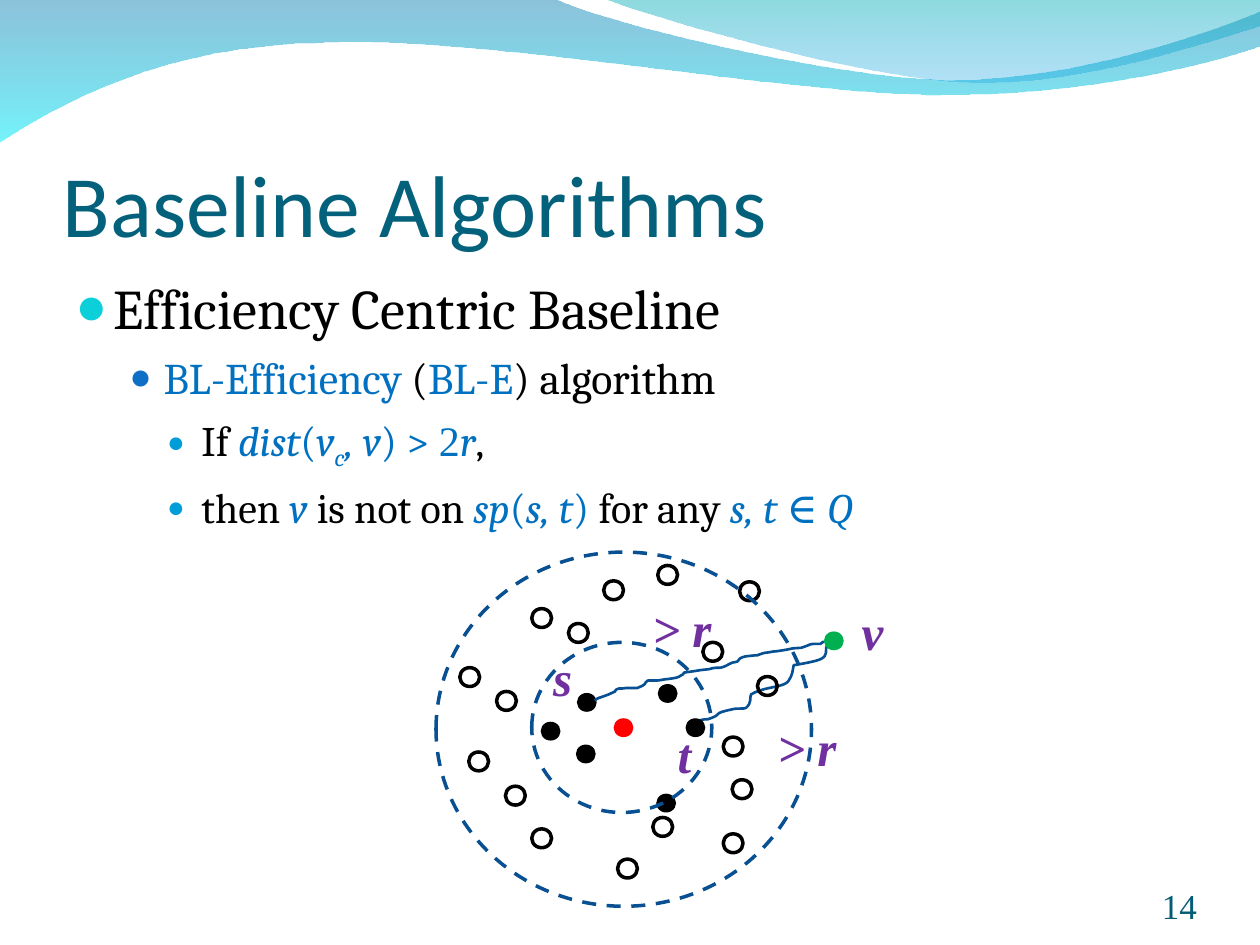
from dataclasses import dataclass
from typing import NamedTuple, Optional

from lxml.etree import SubElement
from pptx import Presentation
from pptx.dml.color import RGBColor
from pptx.enum.dml import MSO_LINE
from pptx.enum.shapes import MSO_SHAPE
from pptx.enum.text import MSO_ANCHOR, PP_ALIGN
from pptx.oxml.ns import qn
from pptx.util import Cm, Pt


@dataclass(frozen=True)
class Theme:
    title: str = "04617B"
    number: str = "045C75"
    text: str = "000000"
    accent: str = "0070C0"
    label: str = "7030A0"
    ring: str = "085091"
    path_line: str = "065093"
    center: str = "FF0000"
    far: str = "00B050"
    head_font: str = "Calibri"
    body_font: str = "Cambria"
    math_font: str = "Times New Roman"
    title_size: float = 50
    label_size: float = 28
    number_size: float = 20


THEME = Theme()


class Box(NamedTuple):
    x: float
    y: float
    w: float
    h: float


class Stop(NamedTuple):
    color: str
    opacity: int


class Outline(NamedTuple):
    start: tuple
    segments: list


class Span(NamedTuple):
    text: str
    color: str = THEME.text
    italic: bool = False
    sub: bool = False
    font: str = THEME.body_font


class Level(NamedTuple):
    size: float
    margin: float
    hanging: float
    before: float
    bullet: str
    bullet_pct: int


class Label(NamedTuple):
    text: str
    box: Box


LEVELS = [
    Level(32, 0.76, 0.76, 8, "0BD0D9", 95),
    Level(25, 1.78, 0.69, 6.2, "0F6FC6", 85),
    Level(24, 2.54, 0.69, 6, "009DD9", 70),
]


def math(text: str, italic: bool = True, **style) -> Span:
    return Span(text, THEME.accent, italic, **style)


BODY = [
    (0, [Span("Efficiency Centric Baseline")]),
    (1, [math("BL-Efficiency", False), Span(" ("), math("BL-E", False), Span(") algorithm")]),
    (2, [Span("If "), math("dist"), math("(", False), math("v"), math("c", sub=True),
         math(", v"), math(") > ", False), math("2", False, font=THEME.math_font),
         math("r"), Span(",")]),
    (2, [Span("then "), math("v"), Span(" is not on "), math("sp"), math("(", False),
         math("s, t"), math(") ", False), Span("for any "), math("s, t"),
         math(" ∈ ", False), math("Q")]),
]

WAVES = [
    (Outline((0, -0.03), [
        [(11.18, -0.03)], [(12.09, 0.43), (16.87, 1.6), (19.25, 1.6)],
        [(21.67, 1.6), (24.33, 0.66), (25.4, 0.23)], [(25.43, 0.91)],
        [(24.97, 1.12), (22.1, 1.93), (18.95, 1.91)],
        [(15.8, 1.91), (9.7, 0.71), (6.53, 0.86)],
        [(3.28, 0.89), (1.17, 2.11), (-0.03, 2.87)],
    ]), (Stop("0079AF", 45), Stop("00EBF8", 55))),
    (Outline((12.17, -0.03), [
        [(12.93, 0.28), (17.32, 1.57), (19.53, 1.65)],
        [(21.74, 1.75), (24.41, 0.81), (25.4, 0.53)], [(25.4, 0)],
    ]), (Stop("00ADB6", 45), Stop("009BE5", 30))),
]

PATH_T = Outline((16.66, 13.03), [
    [(16.64, 13.11), (16.69, 13.21), (16.56, 13.28)], [(16.46, 13.34), (16, 13.41), (16, 13.41)],
    [(15.98, 13.51), (15.98, 13.61), (15.9, 13.72)], [(15.85, 13.82), (15.62, 13.84), (15.42, 13.89)],
    [(15.32, 13.92), (15.24, 13.94), (15.14, 14)], [(15.11, 14.07), (15.16, 14.17), (15.04, 14.27)],
    [(15.01, 14.3), (14.83, 14.27), (14.76, 14.3)], [(14.3, 14.4), (14.63, 14.38), (14.27, 14.5)],
    [(14.25, 14.5), (14.15, 14.5), (14.1, 14.53)],
])
PATH_S = Outline((11.99, 14.12), [
    [(12.09, 14.05), (12.01, 14.1), (12.27, 14)], [(12.4, 13.94)],
    [(12.42, 13.92), (12.4, 13.89), (12.45, 13.89)], [(12.47, 13.87), (12.55, 13.89), (12.62, 13.87)],
    [(12.7, 13.87), (12.78, 13.87), (12.85, 13.87)], [(12.95, 13.82), (12.95, 13.84), (13, 13.79)],
    [(13.03, 13.77), (13, 13.74), (13.06, 13.72)], [(13.11, 13.72), (13.18, 13.72), (13.23, 13.72)],
    [(13.31, 13.72), (13.39, 13.69), (13.46, 13.69)], [(13.59, 13.67), (13.67, 13.67), (13.74, 13.61)],
    [(13.77, 13.61), (13.77, 13.59), (13.79, 13.56)], [(13.92, 13.54), (13.94, 13.54), (14.12, 13.51)],
    [(14.2, 13.51), (14.22, 13.49), (14.3, 13.49)], [(14.38, 13.46), (14.45, 13.46), (14.53, 13.46)],
    [(14.63, 13.44), (14.68, 13.39), (14.76, 13.36)], [(14.78, 13.36), (14.83, 13.34), (14.86, 13.34)],
    [(14.91, 13.28), (14.91, 13.26), (15.04, 13.23)], [(15.09, 13.23), (15.19, 13.21), (15.27, 13.21)],
    [(15.32, 13.18), (15.37, 13.18), (15.42, 13.16)], [(15.49, 13.16), (15.57, 13.13), (15.65, 13.13)],
    [(16.13, 13.06), (15.82, 13.08), (16.15, 13.06)], [(16.41, 12.98), (16.26, 12.98), (16.54, 12.98)],
    [(16.61, 12.93)],
])
QUERY_DOTS = [(11.63, 13.97), (13.26, 13.79), (11.61, 15.01), (13.23, 16), (10.9, 14.55), (13.82, 14.48)]
OTHER_DOTS = [(10.01, 13.94), (10.19, 15.85), (14.91, 11.73), (9.45, 15.16), (14.17, 12.95),
              (10.72, 16.71), (10.72, 12.27), (9.27, 13.46), (11.46, 12.57), (12.17, 11.71),
              (13.26, 11.4), (12.45, 17.32), (13.16, 16.48), (14.58, 16.81), (15.27, 13.64),
              (14.58, 14.86), (14.76, 15.72)]
INNER_RING = Box(10.72, 12.95, 3.63, 3.43)
OUTER_RING = Box(8.79, 11.13, 7.57, 7.14)
BACK_LABELS = [Label("> r", Box(12.9, 11.94, 1.7, 1.45)), Label("s", Box(10.9, 12.93, 0.89, 1.45))]
FRONT_LABELS = [Label("t", Box(13.41, 14.48, 0.79, 1.45)), Label("> r", Box(15.42, 14.33, 1.7, 1.45)),
                Label("v", Box(17.12, 12.01, 0.94, 1.45))]


def lengths(values: tuple) -> list:
    return [Cm(v) for v in values]


def add_outline(s, outline: Outline, close: bool):
    builder = s.shapes.build_freeform(*lengths(outline.start))
    builder.add_line_segments([lengths(pt) for seg in outline.segments for pt in seg], close=close)
    sp = builder.convert_to_shape()
    sp.shadow.inherit = False
    lines = iter(list(sp.element.iter(qn("a:lnTo"))))
    for seg in outline.segments:
        first, *others = [next(lines) for _ in seg]
        if others:
            first.tag = qn("a:cubicBezTo")
            for line in others:
                first.append(line[0])
                line.getparent().remove(line)
    return sp


def add_wave(s, outline: Outline, stops: tuple) -> None:
    sp = add_outline(s, outline, True)
    sp.line.fill.background()
    sp.fill.gradient()
    sp.fill.gradient_angle = 270
    for stop, target in zip(stops, sp.fill.gradient_stops):
        target.color.rgb = RGBColor.from_string(stop.color)
    for stop, clr in zip(stops, sp.element.spPr.iter(qn("a:srgbClr"))):
        SubElement(clr, qn("a:alpha"), val=str(stop.opacity * 1000))


def add_path(s, outline: Outline) -> None:
    sp = add_outline(s, outline, False)
    sp.fill.background()
    sp.line.color.rgb = RGBColor.from_string(THEME.path_line)
    sp.line.width = Pt(1.5)


def add_ellipse(s, box: Box, fill: Optional[str] = None, line: Optional[str] = None) -> object:
    sp = s.shapes.add_shape(MSO_SHAPE.OVAL, *lengths(box))
    sp.shadow.inherit = False
    if fill:
        sp.fill.solid()
        sp.fill.fore_color.rgb = RGBColor.from_string(fill)
        sp.line.fill.background()
    else:
        sp.fill.background()
        sp.line.color.rgb = RGBColor.from_string(line)
        sp.line.width = Pt(2)
    return sp


def add_ring(s, box: Box) -> None:
    add_ellipse(s, box, line=THEME.ring).line.dash_style = MSO_LINE.DASH


def add_dots(s, places: list, fill: Optional[str] = None, line: Optional[str] = None) -> None:
    for at in places:
        add_ellipse(s, Box(*at, 0.4, 0.38), fill, line)


def style_font(font, name: str, size: float, color: str, bold=False, italic=False) -> None:
    font.name, font.size, font.bold, font.italic = name, Pt(size), bold, italic
    font.color.rgb = RGBColor.from_string(color)


def add_text(s, text: str, box: Box, name: str, size: float, color: str,
             emphasis: bool = False, align=PP_ALIGN.LEFT) -> None:
    tf = s.shapes.add_textbox(*lengths(box)).text_frame
    tf.text = text
    p = tf.paragraphs[0]
    p.alignment = align
    style_font(p.runs[0].font, name, size, color, emphasis, emphasis)
    tf.word_wrap = not emphasis
    if not emphasis:
        tf.margin_left = tf.margin_right = tf.margin_top = tf.margin_bottom = 0
        tf.vertical_anchor = MSO_ANCHOR.BOTTOM


def add_labels(s, labels: list) -> None:
    for text, box in labels:
        add_text(s, text, box, THEME.math_font, THEME.label_size, THEME.label, emphasis=True)


def add_body(s, box: Box) -> None:
    tf = s.shapes.add_textbox(*lengths(box)).text_frame
    tf.word_wrap = True
    for i, (depth, spans) in enumerate(BODY):
        p = tf.add_paragraph() if i else tf.paragraphs[0]
        level = LEVELS[depth]
        p.level = depth
        pPr = p._p.get_or_add_pPr()
        pPr.set("marL", str(Cm(level.margin)))
        pPr.set("indent", str(-Cm(level.hanging)))
        SubElement(SubElement(pPr, qn("a:buClr")), qn("a:srgbClr"), val=level.bullet)
        SubElement(pPr, qn("a:buSzPct"), val=str(level.bullet_pct * 1000))
        SubElement(pPr, qn("a:buFont"), typeface=THEME.math_font)
        SubElement(pPr, qn("a:buChar"), char="●")
        if i:
            p.space_before = Pt(level.before)
        for span in spans:
            r = p.add_run()
            r.text = span.text
            style_font(r.font, span.font, level.size, span.color, italic=span.italic)
            if span.sub:
                r.font._element.set("baseline", "-25000")


def main() -> None:
    prs = Presentation()
    prs.slide_width, prs.slide_height = Cm(25.4), Cm(19.05)
    s = prs.slides.add_slide(prs.slide_layouts[6])
    for outline, stops in WAVES:
        add_wave(s, outline, stops)
    add_text(s, "Baseline Algorithms", Box(1.27, 1.96, 22.86, 3.18),
             THEME.head_font, THEME.title_size, THEME.title)
    add_body(s, Box(1.27, 5.38, 21.92, 12.95))
    add_text(s, "14", Box(22.02, 17.65, 2.11, 1.02), THEME.math_font,
             THEME.number_size, THEME.number, align=PP_ALIGN.RIGHT)
    add_path(s, PATH_T)
    add_labels(s, BACK_LABELS)
    add_dots(s, QUERY_DOTS, fill=THEME.text)
    add_ring(s, INNER_RING)
    add_dots(s, OTHER_DOTS, line=THEME.text)
    add_path(s, PATH_S)
    add_ring(s, OUTER_RING)
    add_dots(s, [(12.37, 14.48)], fill=THEME.center)
    add_dots(s, [(16.61, 12.73)], fill=THEME.far)
    add_labels(s, FRONT_LABELS)
    prs.save("out.pptx")


if __name__ == "__main__":
    main()
